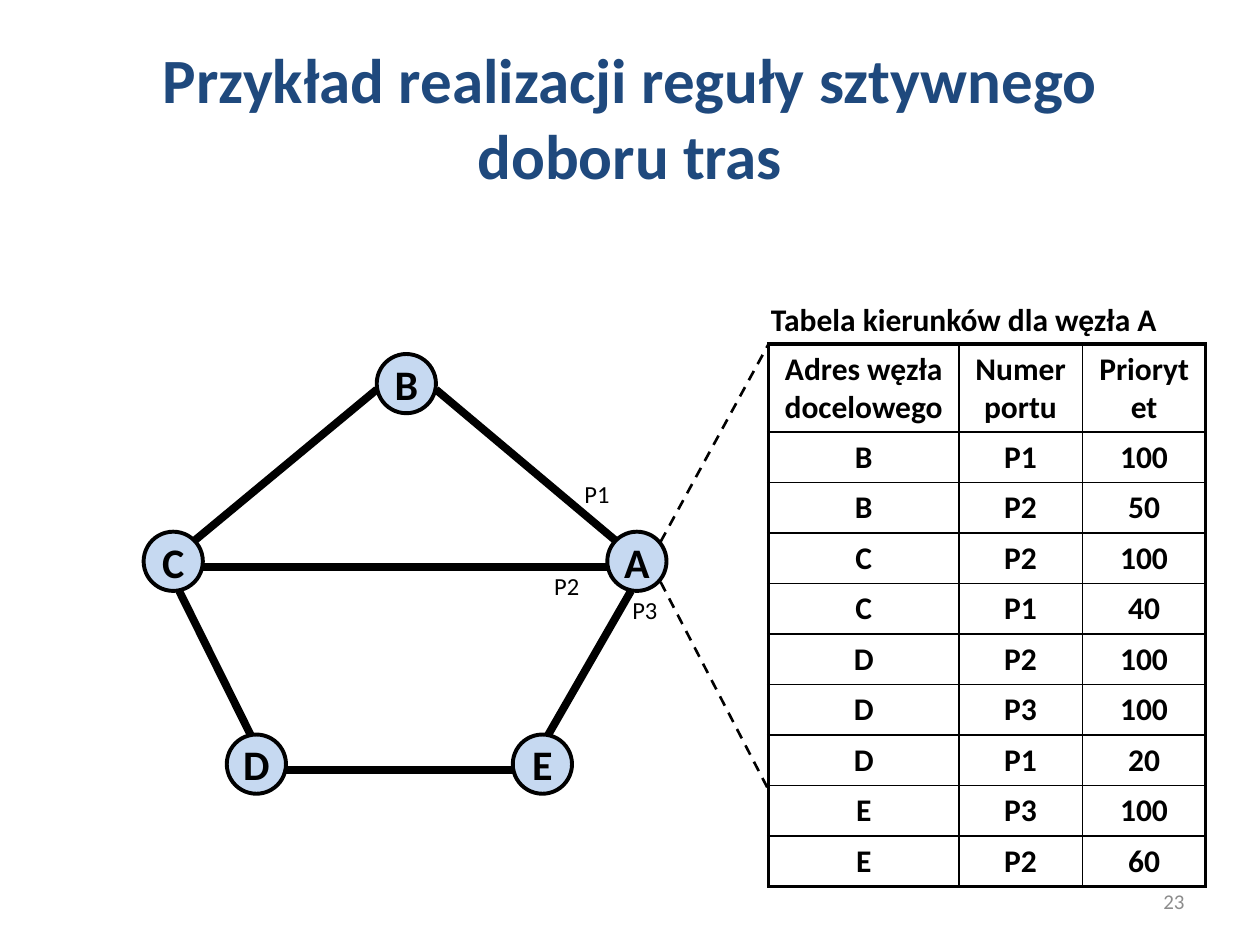
from lxml import etree
from pptx import Presentation
from pptx import util as u
from pptx.dml.color import RGBColor
from pptx.enum import dml, shapes, text
from pptx.oxml.ns import qn

TITLE = "Przykład realizacji reguły sztywnego doboru tras"
CAPTION = "Tabela kierunków dla węzła A"
PAGE = "23"
ROUTES = [
    ("Adres węzła docelowego", "Numer portu", "Priorytet"),
    ("B", "P1", "100"), ("B", "P2", "50"),
    ("C", "P2", "100"), ("C", "P1", "40"),
    ("D", "P2", "100"), ("D", "P3", "100"), ("D", "P1", "20"),
    ("E", "P3", "100"), ("E", "P2", "60"),
]
NODES = {"E": (4.07, 5.83), "B": (2.99, 2.81), "C": (1.14, 4.22),
         "D": (1.8, 5.83), "A": (4.82, 4.22)}
# each end: node, then the point on it as shares of its diameter
EDGES = [
    (("C", 0.8, 0.2), ("B", 0, 0.6)),
    (("B", 1, 0.6), ("A", 0.2, 0.2)),
    (("C", 0.6, 1), ("D", 0.4, 0)),
    (("E", 0, 0.6), ("D", 1, 0.6)),
    (("C", 1, 0.6), ("A", 0, 0.6)),
    (("A", 0.4, 1), ("E", 0.6, 0)),
]
PORTS = {"P1": (4.54, 3.75), "P2": (4.3, 4.48), "P3": (4.92, 4.67)}

DIAMETER = 0.47
TABLE_LEFT, TABLE_TOP = 6.1, 2.73
COLUMNS = [1.51, 0.98, 0.98]
HEADER_HEIGHT, ROW_HEIGHT = 0.7, 0.4
THIN, THICK = 1, 2.25
BLACK, NAVY, PALE_BLUE, GREY = "000000", "1F497D", "C6D9F1", "8C8C8C"
ALIGN, ANCHOR = text.PP_ALIGN, text.MSO_ANCHOR

prs = Presentation()
prs.slide_width, prs.slide_height = u.Inches(10), u.Inches(7.5)
slide = prs.slides.add_slide(prs.slide_layouts[6])


def colour(hex_value):
    return RGBColor.from_string(hex_value)


def inches(*lengths):
    return [u.Inches(length) for length in lengths]


def write(frame, words, size, hex_value=BLACK, bold=False, align=ALIGN.LEFT):
    frame.text = words
    paragraph = frame.paragraphs[0]
    paragraph.alignment = align
    font = paragraph.runs[0].font
    font.name, font.size, font.bold = "Calibri", u.Pt(size), bold
    font.color.rgb = colour(hex_value)


def add_label(words, box, size, wrap=True, anchor=ANCHOR.TOP, **style):
    frame = slide.shapes.add_textbox(*inches(*box)).text_frame
    frame.word_wrap = wrap
    frame.vertical_anchor = anchor
    write(frame, words, size, **style)


def on_node(name, across, down):
    left, top = NODES[name]
    return left + across * DIAMETER, top + down * DIAMETER


def add_line(start, end, width, dashed=False):
    line = slide.shapes.add_connector(shapes.MSO_CONNECTOR.STRAIGHT, *inches(*start, *end))
    line.line.color.rgb = colour(BLACK)
    line.line.width = u.Pt(width)
    if dashed:
        line.line.dash_style = dml.MSO_LINE.DASH
    etree.SubElement(line._element.spPr, qn("a:effectLst"))


def add_node(name):
    node = slide.shapes.add_shape(shapes.MSO_SHAPE.OVAL,
                                  *inches(*NODES[name], DIAMETER, DIAMETER))
    node.shadow.inherit = False
    node.fill.solid()
    node.fill.fore_color.rgb = colour(PALE_BLUE)
    node.line.color.rgb = colour(BLACK)
    node.line.width = u.Pt(2.25)
    node.text_frame.word_wrap = False
    node.text_frame.vertical_anchor = ANCHOR.MIDDLE
    write(node.text_frame, name, 24, bold=True, align=ALIGN.CENTER)


def set_borders(cell, widths):
    """Draw the left, right, top and bottom borders, in points."""
    properties = cell._tc.get_or_add_tcPr()
    for place, (side, width) in enumerate(zip("LRTB", widths)):
        border = etree.Element(qn(f"a:ln{side}"), w=str(u.Pt(width)))
        fill = etree.SubElement(border, qn("a:solidFill"))
        etree.SubElement(fill, qn("a:srgbClr"), val=BLACK)
        properties.insert(place, border)


def add_routes():
    last_row, last_column = len(ROUTES) - 1, len(COLUMNS) - 1
    height = HEADER_HEIGHT + last_row * ROW_HEIGHT
    table = slide.shapes.add_table(
        len(ROUTES), len(COLUMNS),
        *inches(TABLE_LEFT, TABLE_TOP, sum(COLUMNS), height)).table
    table.first_row = table.horz_banding = False
    for column, width in zip(table.columns, COLUMNS):
        column.width = u.Inches(width)
    for r, route in enumerate(ROUTES):
        table.rows[r].height = u.Inches(ROW_HEIGHT if r else HEADER_HEIGHT)
        for c, words in enumerate(route):
            cell = table.cell(r, c)
            cell.fill.background()
            write(cell.text_frame, words, 18, bold=True, align=ALIGN.CENTER)
            outer = (c == 0, c == last_column, r == 0, r == last_row)
            set_borders(cell, [THICK if edge else THIN for edge in outer])


add_label(TITLE, (0.5, 0.3, 9, 1.25), 36, anchor=ANCHOR.MIDDLE,
          hex_value=NAVY, bold=True, align=ALIGN.CENTER)
for start, end in EDGES:
    add_line(on_node(*start), on_node(*end), 4.5)
for name in NODES:
    add_node(name)
for port, corner in PORTS.items():
    add_label(port, (*corner, 0.4, 0.34), 14, wrap=False)
add_label(CAPTION, (6.02, 2.33, 3.62, 0.4), 18, bold=True)
add_routes()
for down, table_y in ((0.17, TABLE_TOP), (0.85, 6.27)):
    add_line(on_node("A", 0.9, down), (TABLE_LEFT, table_y), 1.5, dashed=True)
add_label(PAGE, (7.17, 6.95, 2.33, 0.4), 12, anchor=ANCHOR.MIDDLE,
          hex_value=GREY, align=ALIGN.RIGHT)

prs.save("out.pptx")
